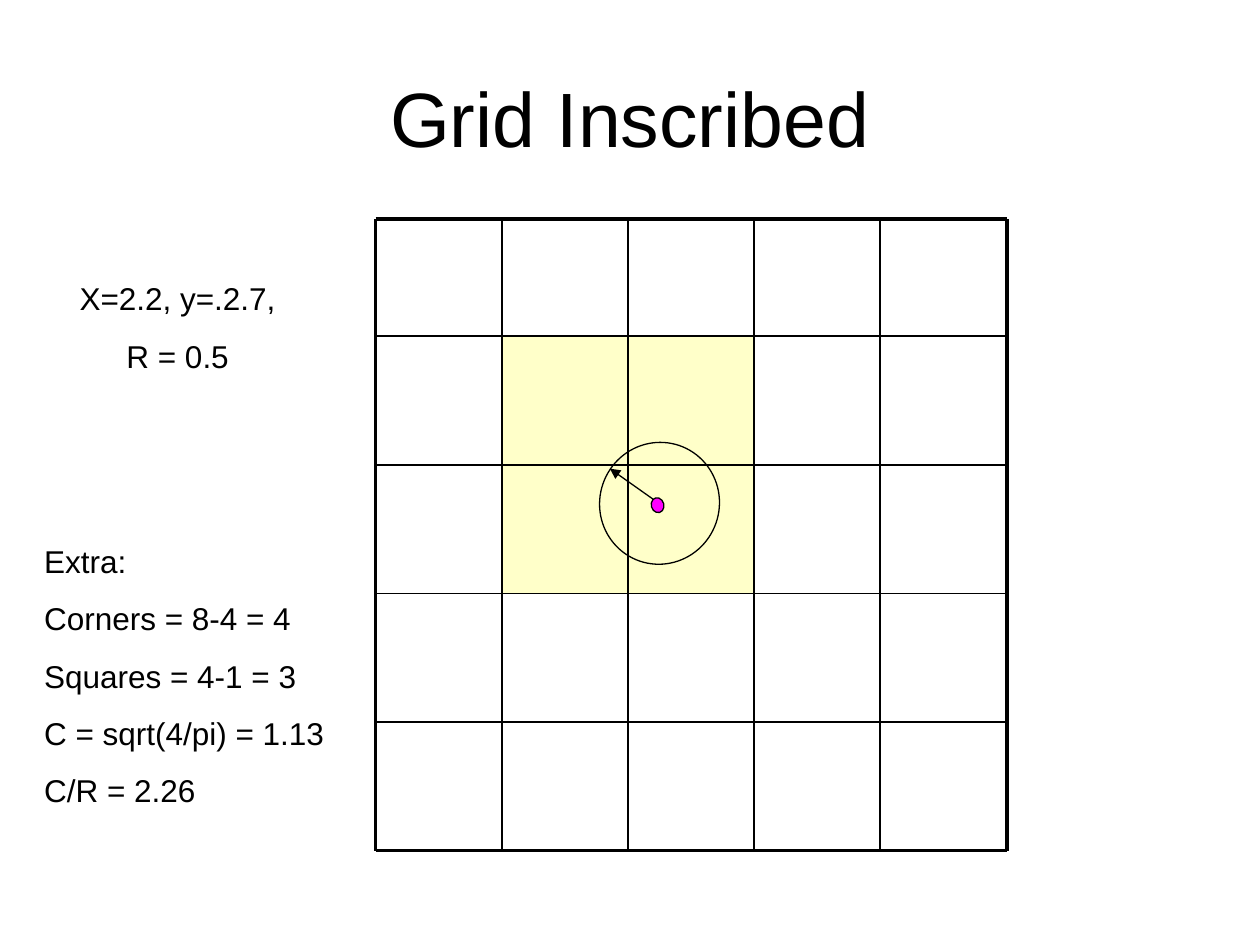
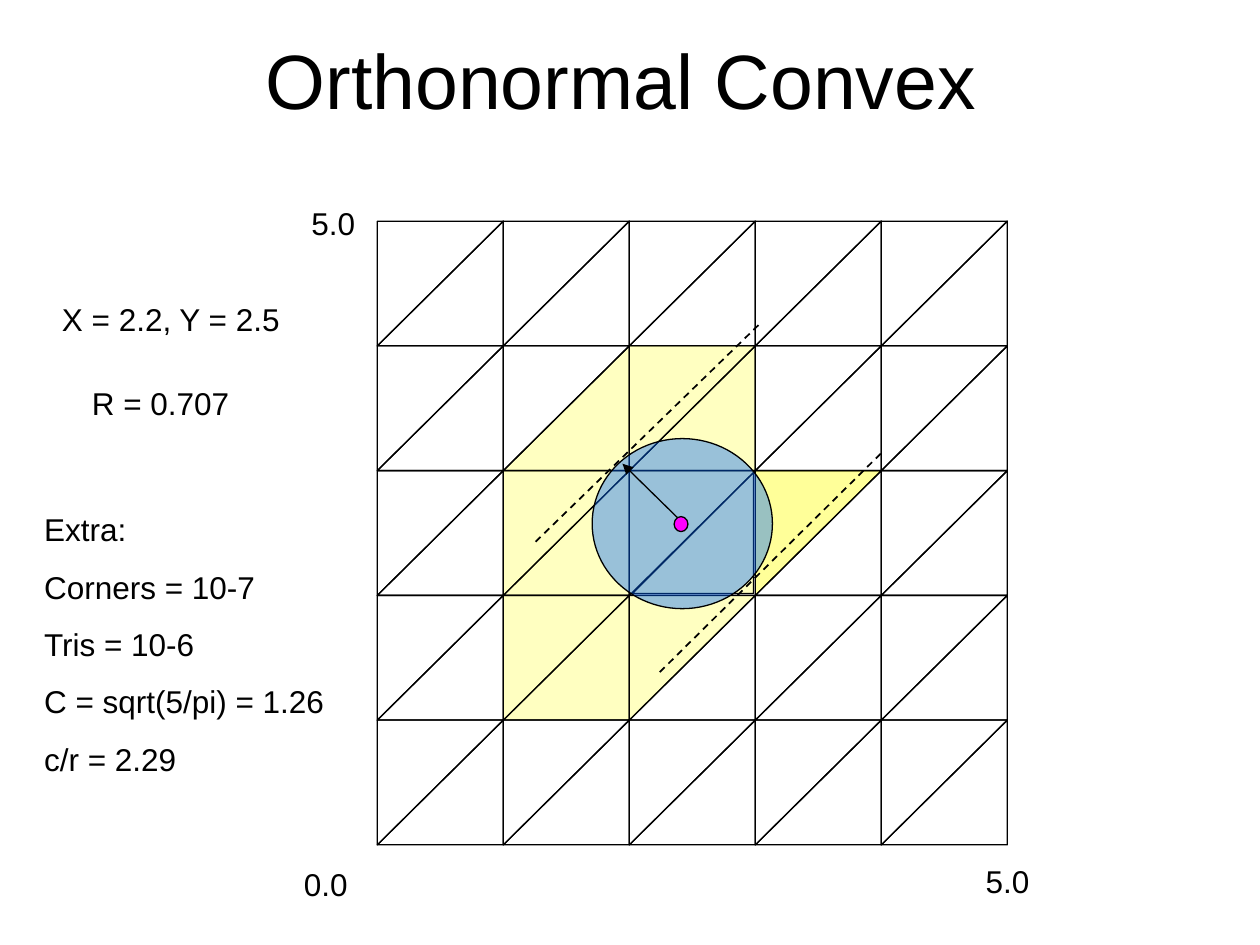
import dataclasses
import itertools
from typing import Any, NamedTuple, Optional

import lxml.etree
import pptx
import pptx.dml.color
import pptx.enum.dml
import pptx.enum.shapes
import pptx.enum.text
import pptx.oxml.ns
import pptx.shapes.shapetree
import pptx.slide
import pptx.text.text
import pptx.util

Pt = pptx.util.Pt
qn = pptx.oxml.ns.qn
SHAPE = pptx.enum.shapes.MSO_SHAPE
ALIGN = pptx.enum.text.PP_ALIGN
Shapes = pptx.shapes.shapetree.GroupShapes


@dataclasses.dataclass(frozen=True)
class Theme:
    font: str = "Arial"
    title_size: float = 44
    text_size: float = 18
    space_before: float = 11.2
    ink: str = "000000"
    paper: str = "FFFFFF"
    highlight: str = "FFFF66"
    strong_highlight: str = "FFFF00"
    disc: str = "0066FF"
    point: str = "FF00FF"
    thin: float = 0.75
    rule: float = 1
    border: float = 2.25


THEME = Theme()


# All positions and sizes below are in points
class Box(NamedTuple):
    left: float
    top: float
    width: float
    height: float


class Segment(NamedTuple):
    x1: float
    y1: float
    x2: float
    y2: float
    weight: float = THEME.rule
    dashed: bool = False
    arrow: bool = False


class Figure(NamedTuple):
    kind: Any
    box: Box
    fill: Optional[str] = None
    opacity: int = 100
    weight: float = THEME.thin
    rotation: float = 0


class Label(NamedTuple):
    box: Box
    lines: tuple[str, ...]


# Shared drawing functions
def rgb(value: str) -> pptx.dml.color.RGBColor:
    return pptx.dml.color.RGBColor.from_string(value)


def apply_format(obj: Any, values: dict[str, Any]) -> None:
    for name, value in values.items():
        setattr(obj, name, value)


def place(sp: Any, box: Box) -> None:
    apply_format(sp, {name: Pt(value) for name, value in box._asdict().items()})


def write_lines(tf: pptx.text.text.TextFrame, lines: tuple[str, ...],
                size: float, align: Any, before: float = 0) -> None:
    for i, line in enumerate(lines):
        p = tf.paragraphs[0] if i == 0 else tf.add_paragraph()
        apply_format(p, {"alignment": align, "space_before": Pt(before)})
        r = p.add_run()
        r.text = line
        apply_format(r.font, {"name": THEME.font, "size": Pt(size)})
        r.font.color.rgb = rgb(THEME.ink)


def draw_label(slide: pptx.slide.Slide, label: Label) -> None:
    sp = slide.shapes.add_textbox(*map(Pt, label.box))
    apply_format(sp.text_frame, {
        "word_wrap": True,
        "auto_size": pptx.enum.text.MSO_AUTO_SIZE.SHAPE_TO_FIT_TEXT,
    })
    write_lines(sp.text_frame, label.lines, THEME.text_size, ALIGN.CENTER,
                THEME.space_before)


def draw_figure(shapes: Shapes, figure: Figure) -> None:
    sp = shapes.add_shape(figure.kind, *map(Pt, figure.box))
    sp.shadow.inherit = False
    sp.rotation = figure.rotation
    if figure.fill:
        sp.fill.solid()
        sp.fill.fore_color.rgb = rgb(figure.fill)
        if figure.opacity < 100:
            color = sp.element.spPr.find(qn("a:solidFill"))[0]
            lxml.etree.SubElement(color, qn("a:alpha"), val=str(figure.opacity * 1000))
    else:
        sp.fill.background()
    if figure.weight:
        sp.line.color.rgb = rgb(THEME.ink)
        sp.line.width = Pt(figure.weight)
    else:
        sp.line.fill.background()


def draw_segment(shapes: Shapes, segment: Segment) -> None:
    straight = pptx.enum.shapes.MSO_CONNECTOR.STRAIGHT
    sp = shapes.add_connector(straight, *map(Pt, segment[:4]))
    sp.line.color.rgb = rgb(THEME.ink)
    sp.line.width = Pt(segment.weight)
    if segment.dashed:
        sp.line.dash_style = pptx.enum.dml.MSO_LINE.DASH
    sp_pr = sp.element.spPr
    if segment.arrow:
        lxml.etree.SubElement(sp_pr.find(qn("a:ln")), qn("a:tailEnd"), type="triangle")
    lxml.etree.SubElement(sp_pr, qn("a:effectLst"))


def draw_group(slide: pptx.slide.Slide, parts: list[Any]) -> None:
    shapes = slide.shapes.add_group_shape().shapes
    for part in parts:
        draw = draw_segment if isinstance(part, Segment) else draw_figure
        draw(shapes, part)


def new_slide(prs: Any, title: str, title_box: Box, extra: Label) -> pptx.slide.Slide:
    slide = prs.slides.add_slide(prs.slide_layouts[1])
    slide.background.fill.solid()
    slide.background.fill.fore_color.rgb = rgb(THEME.paper)

    sp = slide.shapes.title
    place(sp, title_box)
    sp.text_frame.vertical_anchor = pptx.enum.text.MSO_ANCHOR.MIDDLE
    write_lines(sp.text_frame, (title,), THEME.title_size, ALIGN.CENTER)

    # The list of extra results has no bullets
    sp = slide.placeholders[1]
    place(sp, extra.box)
    tf = sp.text_frame
    tf.auto_size = pptx.enum.text.MSO_AUTO_SIZE.SHAPE_TO_FIT_TEXT
    write_lines(tf, extra.lines, THEME.text_size, ALIGN.LEFT, THEME.space_before)
    for p in tf.paragraphs:
        p_pr = p._p.get_or_add_pPr()
        apply_format(p_pr, {})
        for name in ("marL", "indent"):
            p_pr.set(name, "0")
        lxml.etree.SubElement(p_pr, qn("a:buNone"))
    return slide


# Slide 1: a square grid with a circle that touches four cells
def grid_slide(prs: Any) -> None:
    slide = new_slide(
        prs, "Grid Inscribed", Box(36, 21.6, 648, 90),
        Label(Box(18, 306, 191.5, 160.6),
              ("Extra:", "Corners = 8-4 = 4", "Squares = 4-1 = 3",
               "C = sqrt(4/pi) = 1.13", "C/R = 2.26")))

    xs = [214.6 + 72.12 * i for i in range(6)]
    ys = [125.2] + [192.2 + 73.45 * i for i in range(5)]
    parts: list[Any] = [
        Figure(SHAPE.RECTANGLE, Box(xs[col], ys[row], xs[col + 1] - xs[col],
                                    ys[row + 1] - ys[row]),
               THEME.highlight, opacity=35, weight=0)
        for row, col in itertools.product((1, 2), repeat=2)]
    weights = [THEME.border] + [THEME.rule] * 4 + [THEME.border]
    parts += [Segment(xs[0], y, xs[-1], y, w) for y, w in zip(ys, weights)]
    parts += [Segment(x, ys[0], x, ys[-1], w) for x, w in zip(xs, weights)]
    draw_group(slide, parts)

    draw_label(slide, Label(Box(36, 156.2, 131, 61.9), ("X=2.2, y=.2.7,", "R = 0.5")))
    draw_group(slide, [
        Figure(SHAPE.OVAL, Box(342, 253.4, 69.8, 68.4), rotation=288.9),
        Segment(375.1, 286.6, 348.5, 267.8, THEME.thin, arrow=True),
        Figure(SHAPE.OVAL, Box(372.2, 284.4, 7.2, 8.6), THEME.point, rotation=344.3),
    ])


# Slide 2: a triangulated grid with the triangles near the circle filled
UPPER, LOWER = 90, 270
FILLED = {(1, 2, UPPER), (2, 1, UPPER), (2, 2, UPPER), (3, 1, UPPER), (3, 2, UPPER),
          (1, 1, LOWER), (1, 2, LOWER), (2, 1, LOWER), (2, 2, LOWER), (3, 1, LOWER)}
STRONG = (2, 3, UPPER)
INSET = (2, 2, LOWER)


def triangle(row: int, col: int, turn: int) -> Figure:
    key = (row, col, turn)
    left, top = 216 + 72 * col, 126 + 71.28 * row
    box = Box(left, top, 71.28, 72)
    if key == INSET:
        box = Box(left + 1.44, top + 1.44, 69.12, 69.12)
    fill = THEME.highlight if key in FILLED else None
    if key == STRONG:
        fill = THEME.strong_highlight
    return Figure(SHAPE.RIGHT_TRIANGLE, box, fill, opacity=40, rotation=turn)


def convex_slide(prs: Any) -> None:
    slide = new_slide(
        prs, "Orthonormal Convex", Box(31, 0, 648, 90),
        Label(Box(18, 288, 191.5, 160.6),
              ("Extra:", "Corners = 10-7", "Tris = 10-6",
               "C = sqrt(5/pi) = 1.26", "c/r = 2.29")))

    cells = itertools.product(range(5), range(5), (LOWER, UPPER))
    draw_group(slide, [triangle(*cell) for cell in cells])

    # Axis ends and the given values
    for left, top, width, text in (
            (146.2, 491, 80, "0.0"), (150.5, 113, 80, "5.0"), (535.7, 488.9, 80, "5.0"),
            (23.8, 167.8, 147.6, "X = 2.2, Y = 2.5"), (30.2, 216, 123.1, "R = 0.707")):
        draw_label(slide, Label(Box(left, top, width, 28.8), (text,)))

    draw_group(slide, [
        Segment(433.4, 185.8, 306, 309.6, dashed=True),
        Figure(SHAPE.OVAL, Box(338.4, 250.6, 103, 97.2), THEME.disc, opacity=40),
        Segment(389.5, 298.1, 355.7, 265, THEME.thin, arrow=True),
        Figure(SHAPE.OVAL, Box(385.2, 295.2, 7.9, 8.6), THEME.point),
        Segment(503.3, 259.2, 376.6, 384.5, dashed=True),
    ])


def main() -> None:
    prs = pptx.Presentation()
    apply_format(prs, {"slide_width": Pt(720), "slide_height": Pt(540)})
    grid_slide(prs)
    convex_slide(prs)
    prs.save("out.pptx")


if __name__ == "__main__":
    main()
